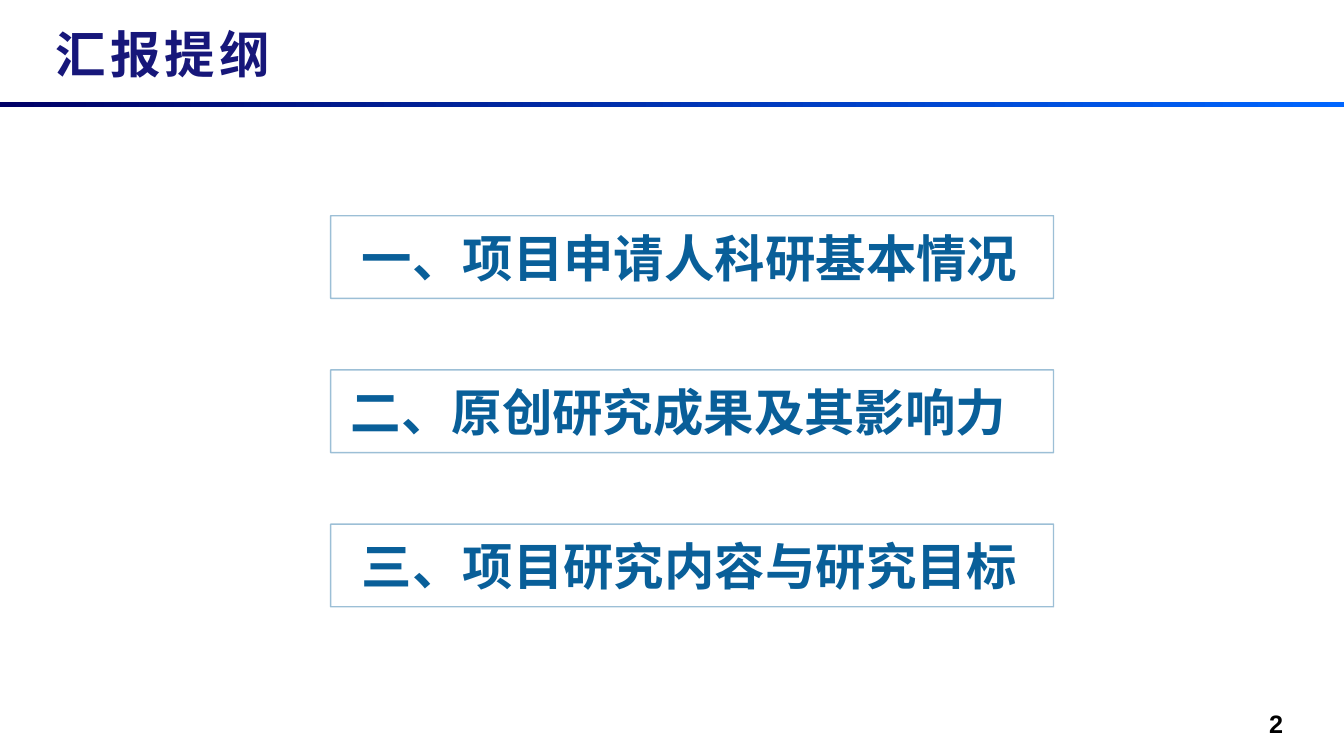
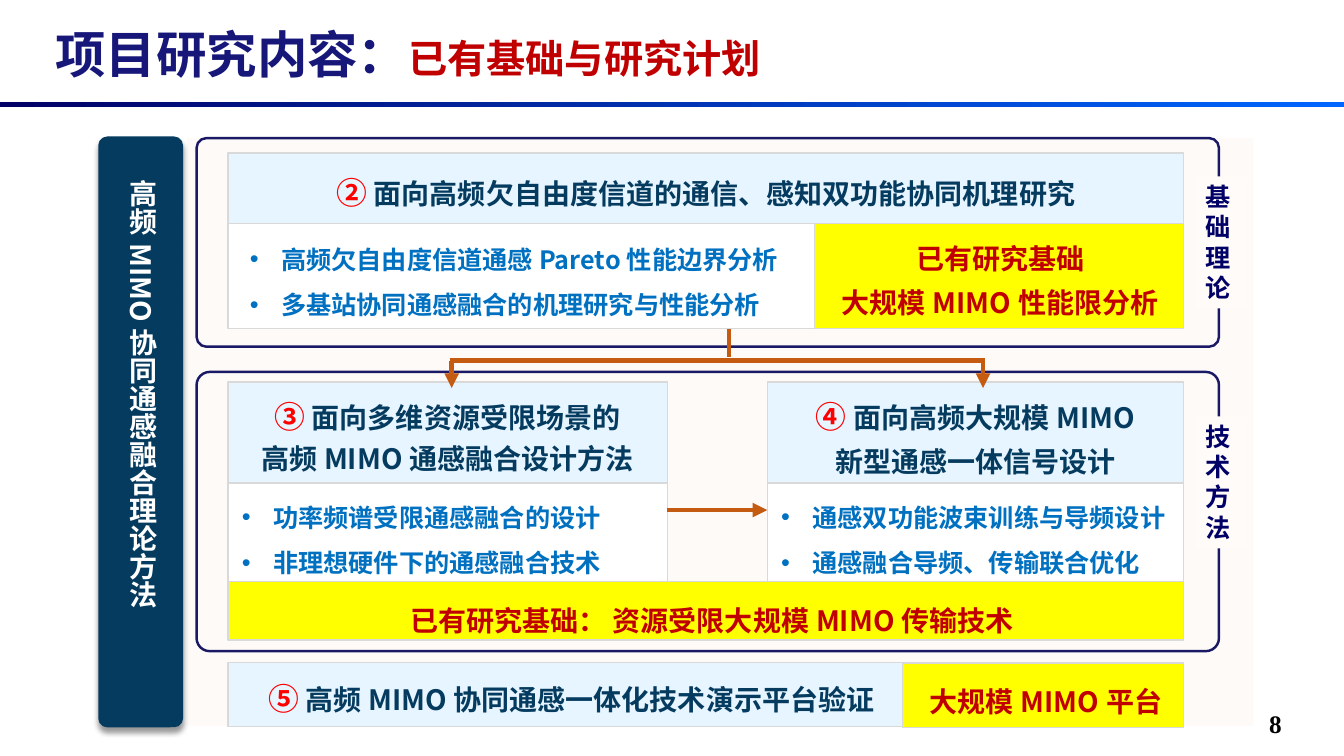
from lxml import etree
from pptx import Presentation
from pptx.dml.color import RGBColor
from pptx.enum import shapes, text
from pptx.oxml import ns
from pptx.util import Inches, Pt

COLORS = {
    "title": "17177A", "band_start": "000066", "band_end": "0066FF",
    "agenda": "095F99", "navy": "053B5F", "frame": "191966",
    "heading_fill": "E6F5FF", "border": "D9D9D9", "bullet": "0070C0",
    "number": "FF0000", "highlight": "FFFF00", "accent": "C00000",
    "arrow": "C55A11", "backdrop": "FBE5D6", "label": "FEFBF8",
    "white": "FFFFFF", "black": "000000",
}
CJK_FONT = "Noto Sans CJK SC"
SERIF_FONT = "Times New Roman"
LEFT, RIGHT = 2.26, 11.74
CENTER = text.PP_ALIGN.CENTER
TOP, MIDDLE = text.MSO_ANCHOR.TOP, text.MSO_ANCHOR.MIDDLE


def rgb(name):
    return RGBColor.from_string(COLORS[name])


def add_xml(parent, tag, **attributes):
    return etree.SubElement(parent, ns.qn(tag), attributes)


def set_alpha(color_format_parent, percent):
    color = next(color_format_parent.iter(ns.qn("a:srgbClr")))
    add_xml(color, "a:alpha", val=str(percent * 1000))


def write_text(shape, paragraphs, size=20, color="navy", font=CJK_FONT, align=text.PP_ALIGN.LEFT,
               anchor=MIDDLE, spacing=1.0, insets=(0.1, 0.05, 0.1, 0.05), bullet_margin=None,
               tracking=0, vertical=False):
    frame = shape.text_frame
    frame.word_wrap = True
    frame.auto_size = text.MSO_AUTO_SIZE.NONE
    frame.vertical_anchor = anchor
    frame.margin_left, frame.margin_top, frame.margin_right, frame.margin_bottom = map(Inches, insets)
    if vertical:
        frame._txBody.bodyPr.set("vert", "eaVert")
    for index, runs in enumerate(paragraphs):
        paragraph = frame.add_paragraph() if index else frame.paragraphs[0]
        paragraph.alignment = align
        paragraph.line_spacing = spacing
        if bullet_margin:
            properties = paragraph._p.get_or_add_pPr()
            properties.set("marL", str(Inches(bullet_margin)))
            properties.set("indent", str(Inches(-0.31)))
            add_xml(properties, "a:buFont", typeface="Arial")
            add_xml(properties, "a:buChar", char="•")
        for wording, run_size, run_color in runs:
            run = paragraph.add_run()
            run.text = wording
            run.font.size = Pt(run_size or size)
            run.font.bold = True
            run.font.name = font
            run.font.color.rgb = rgb(run_color or color)
            properties = run._r.get_or_add_rPr()
            add_xml(properties, "a:ea", typeface=CJK_FONT)
            if tracking:
                properties.set("spc", str(tracking * 100))


def plain(*lines):
    return [[(line, None, None)] for line in lines]


def numbered(number, *lines):
    paragraphs = plain(*lines)
    paragraphs[0].insert(0, (number, 22, "number"))
    return paragraphs


def add_box(slide, left, top, width, height, fill=None, line=None, line_width=1, radius=None):
    kind = shapes.MSO_SHAPE.RECTANGLE if radius is None else shapes.MSO_SHAPE.ROUNDED_RECTANGLE
    box = slide.shapes.add_shape(kind, *map(Inches, (left, top, width, height)))
    box.shadow.inherit = False
    if radius is not None:
        box.adjustments[0] = radius
    if fill:
        box.fill.solid()
        box.fill.fore_color.rgb = rgb(fill)
    else:
        box.fill.background()
    if line:
        box.line.color.rgb = rgb(line)
        box.line.width = Pt(line_width)
    else:
        box.line.fill.background()
    return box


def add_line(slide, start, end, arrow=False):
    line = slide.shapes.add_connector(shapes.MSO_CONNECTOR.STRAIGHT, *map(Inches, start + end))
    line.line.color.rgb = rgb("arrow")
    line.line.width = Pt(3.5)
    if arrow:
        add_xml(line.line._get_or_add_ln(), "a:tailEnd", type="triangle")
    add_xml(line._element.spPr, "a:effectLst")


def add_text_box(slide, left, top, width, height, paragraphs, **style):
    box = slide.shapes.add_textbox(*map(Inches, (left, top, width, height)))
    write_text(box, paragraphs, **style)


def start_slide(deck, title_runs, page, page_font, **title_style):
    slide = deck.slides.add_slide(deck.slide_layouts[5])
    band = add_box(slide, -0.01, 1.01, 13.35, 0.05)
    band.fill.gradient()
    band.fill.gradient_angle = 0
    for stop, color, position in zip(band.fill.gradient_stops, ("band_start", "band_end"), (0, 1)):
        stop.color.rgb = rgb(color)
        stop.position = position
    title = slide.shapes.title
    title.left, title.top, title.width, title.height = map(Inches, (0.45, 0.24, 9.56, 0.58))
    write_text(title, [title_runs], size=36, color="title", **title_style)
    add_text_box(slide, 12.49, 6.98, 0.73, 0.39, plain(page),
                 size=18, color="black", font=page_font, anchor=TOP)
    return slide


def add_heading(slide, left, top, width, height, paragraphs, **style):
    box = add_box(slide, left, top, width, height, "heading_fill", "border")
    write_text(box, paragraphs, **style)


def add_card(slide, left, top, width, head_height, body_height, heading, bullets,
             spacing=1.2, bullet_margin=0.35, body_anchor=MIDDLE):
    body = add_box(slide, left, top + head_height, width, body_height, "white", "border")
    write_text(body, plain(*bullets), size=18, color="bullet", anchor=body_anchor,
               spacing=1.5, bullet_margin=bullet_margin)
    add_heading(slide, left, top, width, head_height, heading, align=CENTER, spacing=spacing)


def add_highlight(slide, left, top, height, *lines, spacing=1.5, insets=(0.22, 0.05, 0.1, 0.05)):
    box = add_box(slide, left, top, RIGHT - left, height, "highlight", "border")
    write_text(box, plain(*lines), color="accent", align=CENTER, anchor=TOP,
               spacing=spacing, insets=insets)


def add_stage(slide, top, height, label, label_top):
    add_box(slide, 1.95, top, 10.14, height, line="frame", line_width=1.75, radius=0.047)
    tag = add_box(slide, 11.86, label_top, 0.51, 1.31, "label")
    write_text(tag, plain(label), size=18, color="band_start", anchor=TOP)


def add_theme_bar(slide, wording):
    bar = add_box(slide, 0.99, 1.37, 0.81, 5.83, "navy", "navy", 2.25, radius=0.09)
    effects = bar._element.spPr.find(ns.qn("a:effectLst"))
    shadow = add_xml(effects, "a:outerShdw", blurRad=str(Pt(4)), dist=str(Pt(3)),
                     dir="5400000", rotWithShape="0")
    add_xml(add_xml(shadow, "a:srgbClr", val=COLORS["black"]), "a:alpha", val="40000")
    add_text_box(slide, 1.14, 1.69, 0.62, 5.19, plain(wording), color="white",
                 align=text.PP_ALIGN.JUSTIFY, spacing=1.25, vertical=True)


def add_flow(slide):
    branch_top, branches = 3.58, (4.48, 9.75)
    add_line(slide, (7.23, 3.26), (7.23, 3.54))
    add_line(slide, (branches[0] - 0.02, branch_top), (branches[1] + 0.02, branch_top))
    for branch in branches:
        add_line(slide, (branch, branch_top), (branch, 3.85), arrow=True)
    add_line(slide, (6.62, 5.06), (7.61, 5.06), arrow=True)


def build_outline(deck):
    slide = start_slide(deck, [("汇报提纲", None, None)], "2", "Arial", tracking=3)
    chapters = (("一、项目申请人科研基本情况", 0.31),
                ("二、原创研究成果及其影响力", 0.2),
                ("三、项目研究内容与研究目标", 0.31))
    for row, (chapter, inset) in enumerate(chapters):
        box = add_box(slide, 3.28, 2.14 + row * 1.53, 7.17, 0.82, line="agenda")
        set_alpha(box.line._get_or_add_ln(), 40)
        write_text(box, plain(chapter), size=36, color="agenda", font=SERIF_FONT,
                   insets=(inset, 0.05, 0.1, 0.05))


def build_research_plan(deck):
    title = [("项目研究内容：", None, None), ("已有基础与研究计划", 28, "accent")]
    slide = start_slide(deck, title, "8", SERIF_FONT, font="Montserrat")
    backdrop = add_box(slide, 1.86, 1.37, 10.57, 5.83, "backdrop")
    set_alpha(backdrop._element.spPr, 17)
    add_theme_bar(slide, "高频MIMO协同通感融合理论方法")

    add_card(slide, LEFT, 1.52, RIGHT - LEFT, 0.7, 1.04,
             numbered("② ", "面向高频欠自由度信道的通信、感知双功能协同机理研究"),
             ("高频欠自由度信道通感Pareto性能边界分析", "多基站协同通感融合的机理研究与性能分析"),
             bullet_margin=0.43, body_anchor=TOP)
    add_highlight(slide, 8.08, 2.22, 1.04, "已有研究基础", "大规模MIMO性能限分析",
                  spacing=1.3, insets=(0.12, 0.08, 0.1, 0.05))
    add_card(slide, LEFT, 3.79, 4.36, 1, 0.98,
             numbered("③", " 面向多维资源受限场景的", "高频MIMO通感融合设计方法"),
             ("功率频谱受限通感融合的设计", "非理想硬件下的通感融合技术"))
    add_card(slide, 7.61, 3.79, RIGHT - 7.61, 1, 0.98,
             numbered("④", " 面向高频大规模MIMO", "新型通感一体信号设计"),
             ("通感双功能波束训练与导频设计", "通感融合导频、传输联合优化"), spacing=1.3)
    add_heading(slide, LEFT, 6.57, RIGHT - LEFT, 0.64,
                numbered("⑤", " 高频MIMO协同通感一体化技术演示平台验证"),
                spacing=1.2, insets=(0.4, 0.05, 0.1, 0.05))

    add_stage(slide, 1.37, 2.07, "基础理论", 1.75)
    add_stage(slide, 3.69, 2.77, "技术方法", 4.13)
    add_flow(slide)
    add_highlight(slide, LEFT, 5.77, 0.58, "已有研究基础： 资源受限大规模MIMO传输技术")
    add_highlight(slide, 8.95, 6.58, 0.64, "大规模MIMO平台", insets=(0.16, 0.05, 0.1, 0.05))


def main():
    deck = Presentation()
    deck.slide_width, deck.slide_height = Inches(13.33), Inches(7.5)
    build_outline(deck)
    build_research_plan(deck)
    deck.save("out.pptx")


if __name__ == "__main__":
    main()
